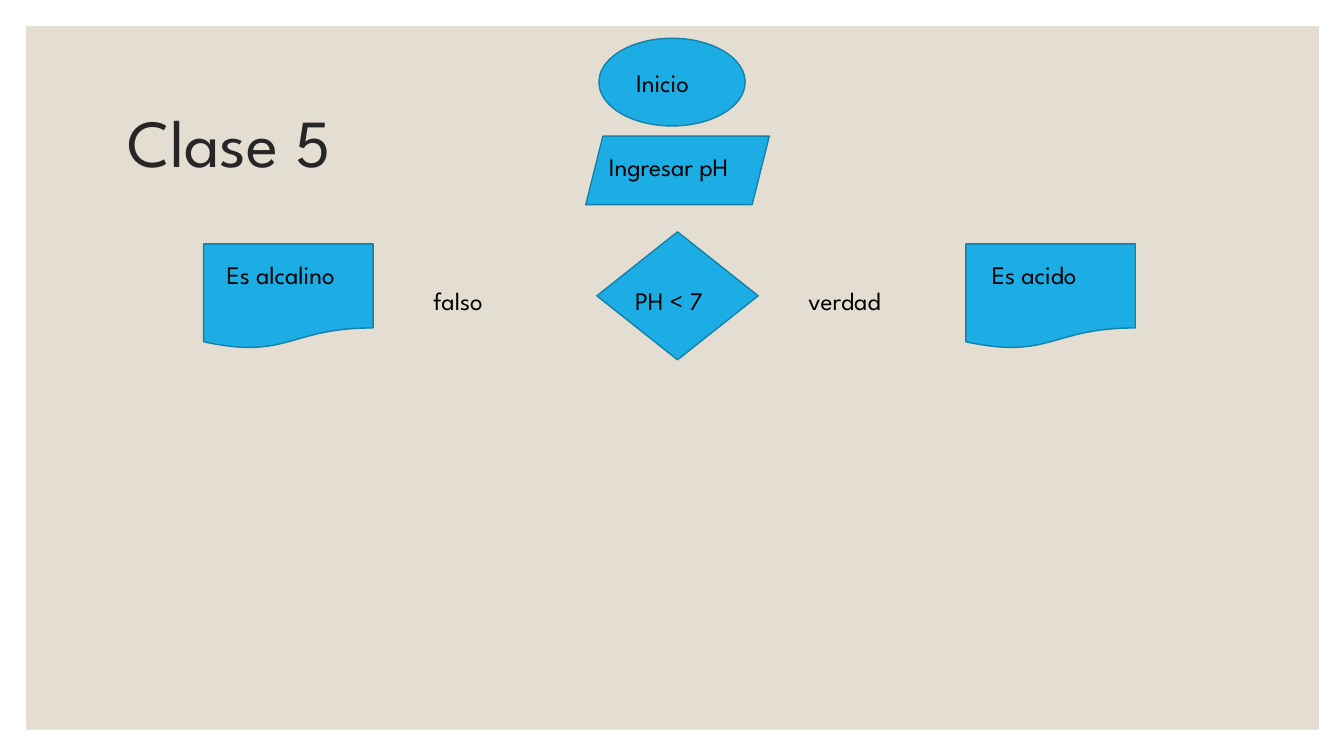
from pptx import Presentation
from pptx.dml.color import RGBColor
from pptx.enum.shapes import MSO_SHAPE
from pptx.enum.text import MSO_ANCHOR
from pptx.util import Emu, Pt

PX = 9144  # EMU per px, 100 px to the inch
FONT = "League Spartan"

WHITE = RGBColor(0xFF, 0xFF, 0xFF)
SAND = RGBColor(0xE3, 0xDE, 0xD1)
BLUE = RGBColor(0x1C, 0xAD, 0xE4)
DARK_BLUE = RGBColor(0x15, 0x80, 0xA9)
CHARCOAL = RGBColor(0x26, 0x26, 0x26)
BLACK = RGBColor(0x00, 0x00, 0x00)

# Flowchart symbols: preset, left, top, width, height
SYMBOLS = [
    (MSO_SHAPE.OVAL, 594, 38, 145, 87),
    (MSO_SHAPE.DIAMOND, 592, 230, 160, 127),
    (MSO_SHAPE.FLOWCHART_DOCUMENT, 202, 242, 168, 104),
    (MSO_SHAPE.FLOWCHART_DOCUMENT, 958, 242, 168, 104),
    (MSO_SHAPE.PARALLELOGRAM, 581, 135, 182, 68),
]

# Labels: text, left, top, width, height
LABELS = [
    ("Inicio", 621, 62, 91, 40),
    ("Ingresar pH", 594, 145, 175, 40),
    ("PH < 7", 620, 278, 105, 40),
    ("Es alcalino", 215, 252, 136, 71),
    ("Es acido", 974, 252, 138, 40),
    ("falso", 420, 278, 132, 40),
    ("verdad", 792, 278, 156, 40),
]


def px(*lengths):
    return [Emu(length * PX) for length in lengths]


def add_symbol(page, preset, *frame, fill=BLUE, line=DARK_BLUE):
    symbol = page.shapes.add_shape(preset, *px(*frame))
    symbol.shadow.inherit = False
    symbol.fill.solid()
    symbol.fill.fore_color.rgb = fill
    if line is None:
        symbol.line.fill.background()
    else:
        symbol.line.color.rgb = line
        symbol.line.width = Pt(1)
    return symbol


def add_text(page, text, *frame, size=18, color=BLACK,
             anchor=MSO_ANCHOR.TOP, spacing=1.0):
    box = page.shapes.add_textbox(*px(*frame))
    box.text_frame.word_wrap = True
    box.text_frame.vertical_anchor = anchor
    para = box.text_frame.paragraphs[0]
    para.line_spacing = spacing
    span = para.add_run()
    span.text = text
    span.font.name = FONT
    span.font.size = Pt(size)
    span.font.color.rgb = color
    return box


def main():
    deck = Presentation()
    deck.slide_width, deck.slide_height = px(1333, 750)
    page = deck.slides.add_slide(deck.slide_layouts[6])

    # White border around a sand panel
    page.background.fill.solid()
    page.background.fill.fore_color.rgb = WHITE
    add_symbol(page, MSO_SHAPE.RECTANGLE, 26, 26, 1282, 698,
               fill=SAND, line=None)

    # Title
    add_text(page, "Clase 5", 117, 70, 1100, 150, size=48, color=CHARCOAL,
             anchor=MSO_ANCHOR.MIDDLE, spacing=0.9)

    # Flowchart
    for preset, *frame in SYMBOLS:
        add_symbol(page, preset, *frame)
    for text, *frame in LABELS:
        add_text(page, text, *frame)

    deck.save("out.pptx")


if __name__ == "__main__":
    main()
